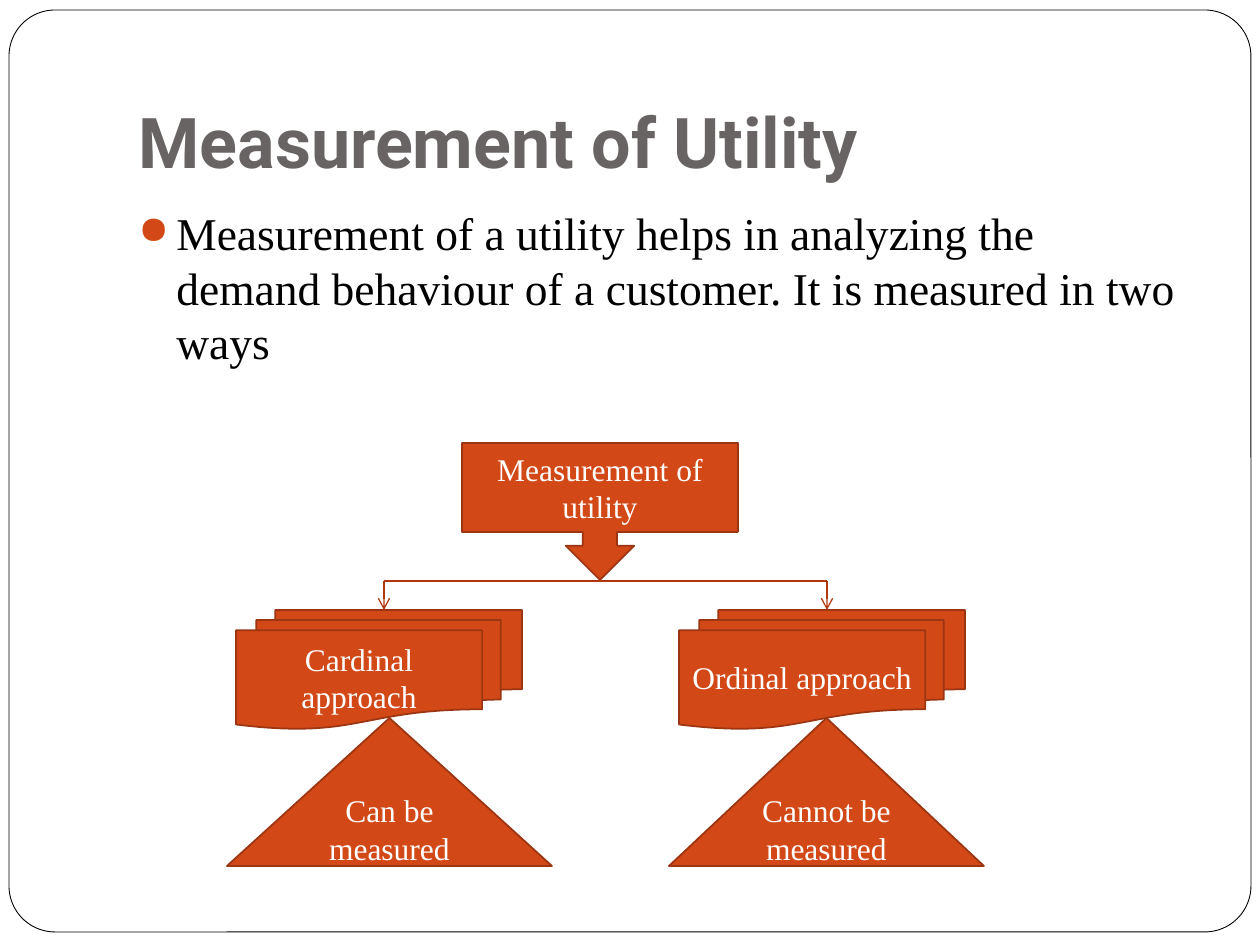
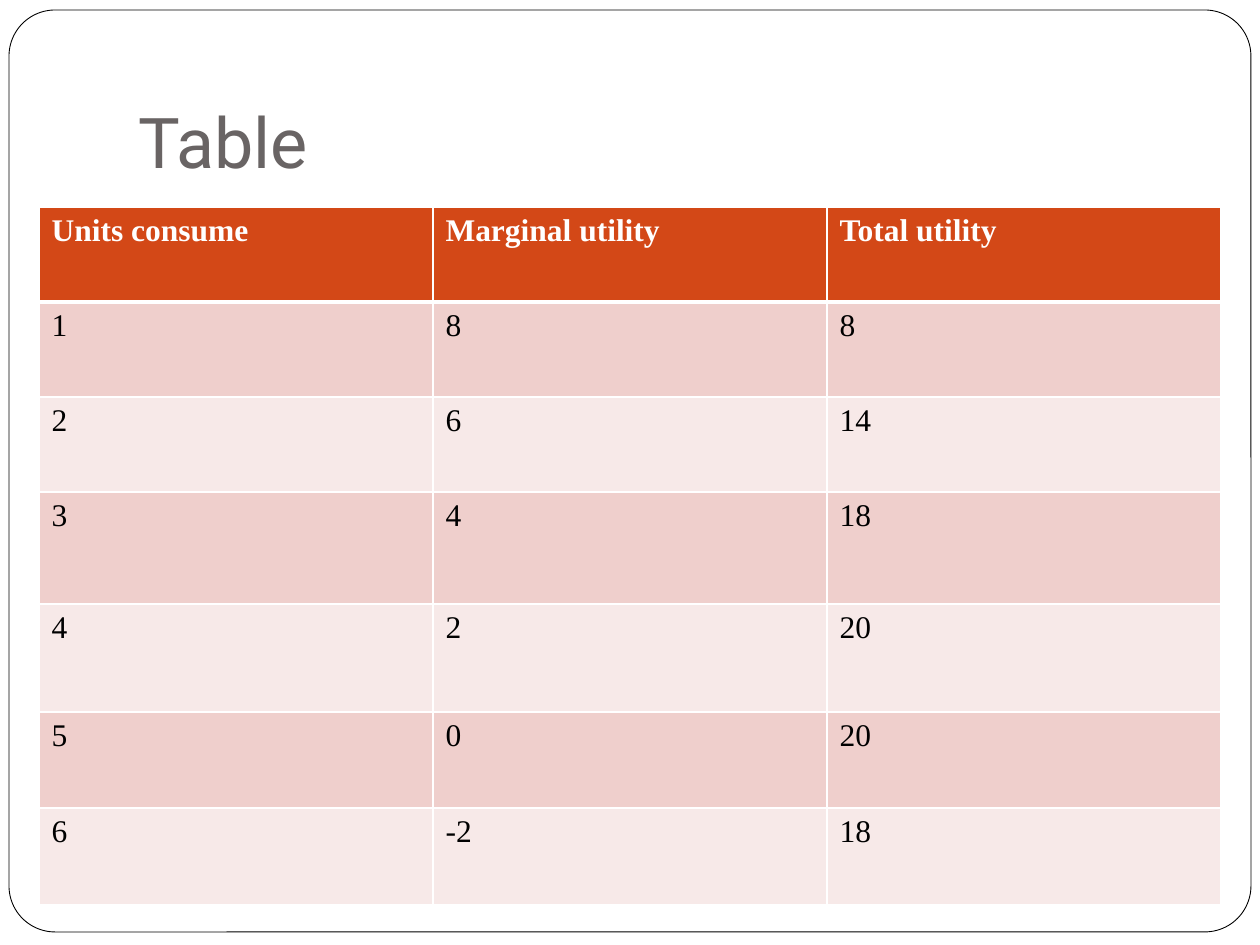
"""Build two slides on measuring utility: a diagram and a table."""
import pptx
import pptx.dml.color
import pptx.enum.shapes
import pptx.enum.text
import pptx.oxml
import pptx.oxml.ns
import pptx.util
from lxml import etree

PIXEL = pptx.util.Inches(1) / 126
COLORS = {
    "white": "FFFFFF", "black": "000000", "title": "696464",
    "accent": "D34817", "outline": "9C3511", "connector": "B1360B",
    "band_dark": "EFCFCC", "band_light": "F7E9E8",
}
TITLE_FONT = "Roboto"
TEXT_FONT = "Times New Roman"
SHAPES = pptx.enum.shapes.MSO_SHAPE
ANCHORS = pptx.enum.text.MSO_ANCHOR
ALIGNMENTS = pptx.enum.text.PP_ALIGN

ROWS = [
    ("Units consume", "Marginal utility", "Total utility"),
    ("1", "8", "8"),
    ("2", "6", "14"),
    ("3", "4", "18"),
    ("4", "2", "20"),
    ("5", "0", "20"),
    ("6", "-2", "18"),
]
ROW_HEIGHTS = [95, 95, 95, 112, 108, 96, 97]
COLUMN_WIDTH = 394


def px(*lengths):
    """Turn pixel lengths into a list of EMU."""
    return [round(length * PIXEL) for length in lengths]


def rgb(name):
    """Return the named colour."""
    return pptx.dml.color.RGBColor.from_string(COLORS[name])


def add_element(parent, tag, **attributes):
    """Append a DrawingML element to a parent."""
    return etree.SubElement(parent, pptx.oxml.ns.qn(tag), attributes)


def style_runs(paragraph, size, color, font=TEXT_FONT, bold=False):
    """Format every run of a paragraph."""
    for run in paragraph.runs:
        run.font.name = font
        run.font.size = pptx.util.Pt(size)
        run.font.bold = bold
        run.font.color.rgb = rgb(color)


def add_shape(slide, kind, box, fill, line, line_width):
    """Add a filled and outlined preset shape without shadow."""
    shape = slide.shapes.add_shape(kind, *px(*box))
    shape.shadow.inherit = False
    shape.fill.solid()
    shape.fill.fore_color.rgb = rgb(fill)
    shape.line.color.rgb = rgb(line)
    shape.line.width = pptx.util.Pt(line_width)
    return shape


def add_node(slide, kind, box, text):
    """Add a labelled diagram shape."""
    shape = add_shape(slide, kind, box, "accent", "outline", 1)
    frame = shape.text_frame
    frame.word_wrap = True
    frame.vertical_anchor = ANCHORS.MIDDLE
    frame.text = text
    frame.paragraphs[0].alignment = ALIGNMENTS.CENTER
    style_runs(frame.paragraphs[0], 18, "white")


def add_line(slide, start, end, arrow=False):
    """Add a straight connector, with an arrowhead at its end if wanted."""
    connector = slide.shapes.add_connector(
        pptx.enum.shapes.MSO_CONNECTOR.STRAIGHT, *px(*start, *end))
    connector.line.color.rgb = rgb("connector")
    connector.line.width = pptx.util.Pt(0.75)
    if arrow:
        add_element(connector.line._get_or_add_ln(), "a:tailEnd", type="arrow")
    add_element(connector.element.spPr, "a:effectLst")


def add_slide(presentation, title_text, bold=False):
    """Add a title-only slide with the rounded frame behind its title."""
    slide = presentation.slides.add_slide(presentation.slide_layouts[5])
    title = slide.shapes.title
    frame = add_shape(slide, SHAPES.ROUNDED_RECTANGLE, (9, 10, 1242, 922),
                      "white", "black", 0.5)
    frame.adjustments[0] = 0.05
    title.element.addprevious(frame.element)
    title.left, title.top, title.width, title.height = px(126, 38, 1071, 157)
    text_frame = title.text_frame
    text_frame.text = title_text
    text_frame.auto_size = pptx.enum.text.MSO_AUTO_SIZE.NONE
    text_frame.vertical_anchor = ANCHORS.BOTTOM
    text_frame.margin_bottom = pptx.util.Inches(0.1)
    text_frame.paragraphs[0].alignment = ALIGNMENTS.LEFT
    style_runs(text_frame.paragraphs[0], 40, "title", TITLE_FONT, bold)
    return slide


def add_bullet_text(slide, box, text):
    """Add a text box with one bulleted paragraph."""
    frame = slide.shapes.add_textbox(*px(*box)).text_frame
    frame.word_wrap = True
    frame.text = text
    paragraph = frame.paragraphs[0]
    properties = paragraph._p.get_or_add_pPr()
    indent = px(38)[0]
    properties.set("marL", str(indent))
    properties.set("indent", str(-indent))
    bullet_color = add_element(properties, "a:buClr")
    add_element(bullet_color, "a:srgbClr", val=COLORS["accent"])
    add_element(properties, "a:buSzPct", val="85000")
    add_element(properties, "a:buChar", char="●")
    style_runs(paragraph, 26, "black")


def add_borders(cell, bottom_width):
    """Draw white borders on a cell, with a bottom of its own width."""
    properties = cell._tc.get_or_add_tcPr()
    widths = {"a:lnL": 1, "a:lnR": 1, "a:lnT": 1, "a:lnB": bottom_width}
    for tag, width in widths.items():
        border = add_element(properties, tag, w=str(pptx.util.Pt(width)))
        fill = add_element(border, "a:solidFill")
        add_element(fill, "a:srgbClr", val=COLORS["white"])


def add_utility_table(slide, left, top):
    """Add the banded table of marginal and total utility."""
    column_count = len(ROWS[0])
    box = px(left, top, COLUMN_WIDTH * column_count, sum(ROW_HEIGHTS))
    table = slide.shapes.add_table(len(ROWS), column_count, *box).table
    for column in table.columns:
        column.width = px(COLUMN_WIDTH)[0]
    for row_index, values in enumerate(ROWS):
        table.rows[row_index].height = px(ROW_HEIGHTS[row_index])[0]
        header = row_index == 0
        band = "band_dark" if row_index % 2 else "band_light"
        for column_index, value in enumerate(values):
            cell = table.cell(row_index, column_index)
            cell.text = value
            add_borders(cell, 3 if header or row_index == 0 else 1)
            cell.fill.solid()
            cell.fill.fore_color.rgb = rgb("accent" if header else band)
            style_runs(cell.text_frame.paragraphs[0], 18,
                       "white" if header else "black", bold=header)


def add_measurement_diagram(slide):
    """Add the tree of the two approaches to measuring utility."""
    branch_top, document_top, triangle_top = 581, 610, 718
    branches = [
        (384, 236, "Cardinal approach", 227, 325, "Can be measured"),
        (827, 679, "Ordinal approach", 669, 315, "Cannot be measured"),
    ]
    add_node(slide, SHAPES.DOWN_ARROW_CALLOUT, (462, 443, 276, 137),
             "Measurement of utility")
    add_line(slide, (branches[1][0], branch_top), (branches[0][0], branch_top))
    for (center, document_left, approach,
         triangle_left, triangle_width, result) in branches:
        add_line(slide, (center, branch_top), (center, document_top), arrow=True)
        add_node(slide, SHAPES.FLOWCHART_MULTIDOCUMENT,
                 (document_left, document_top, 286, 119), approach)
        add_node(slide, SHAPES.FLOWCHART_EXTRACT,
                 (triangle_left, triangle_top, triangle_width, 148), result)


def main():
    """Build and save the presentation."""
    presentation = pptx.Presentation()
    presentation.slide_width, presentation.slide_height = px(1260, 945)

    slide = add_slide(presentation, "Measurement of Utility", bold=True)
    add_bullet_text(slide, (126, 199, 1071, 630),
                    "Measurement of a utility helps in analyzing the demand "
                    "behaviour of a customer. It is measured in two ways")
    add_measurement_diagram(slide)

    slide = add_slide(presentation, "Table")
    add_utility_table(slide, 39, 207)

    presentation.save("out.pptx")


if __name__ == "__main__":
    main()
